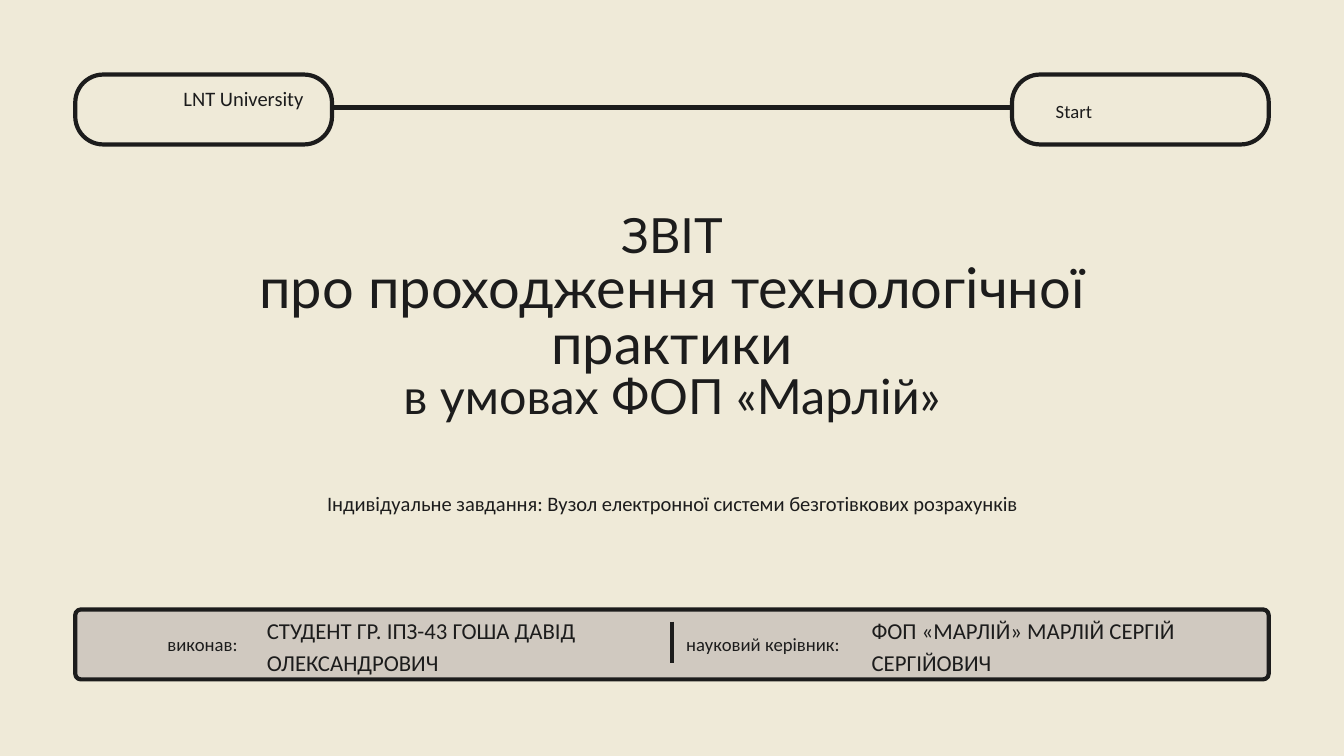
from lxml import etree
from pptx import Presentation
from pptx.dml.color import RGBColor
from pptx.enum.shapes import MSO_CONNECTOR, MSO_SHAPE
from pptx.enum.text import MSO_ANCHOR, MSO_AUTO_SIZE, PP_ALIGN
from pptx.oxml.ns import qn
from pptx.util import Pt

ROUNDED = MSO_SHAPE.ROUNDED_RECTANGLE
STRAIGHT = MSO_CONNECTOR.STRAIGHT
LEFT, CENTER = PP_ALIGN.LEFT, PP_ALIGN.CENTER
TOP, NO_FIT = MSO_ANCHOR.TOP, MSO_AUTO_SIZE.NONE
PX = 9144
WIDTH, HEIGHT = 2000, 1125
LINE = 4.5
COLORS = {"paper": "EFEAD8", "bar": "D0C9C0", "ink": "1C1C1C"}

MARGIN, BOX_H = 112, 104
PILL_W, PILL_Y, BAR_Y = 382, 111, 907
RIGHT = WIDTH - MARGIN

BOXES = [
    ((MARGIN, BAR_Y, RIGHT - MARGIN, BOX_H), 8, "bar"),
    ((MARGIN, PILL_Y, PILL_W, BOX_H), 42, "paper"),
    ((RIGHT - PILL_W, PILL_Y, PILL_W, BOX_H), 42, "paper"),
]
LINES = [
    (WIDTH // 2, 925, WIDTH // 2, 986),
    (MARGIN + PILL_W, 160, RIGHT - PILL_W, 160),
]
TITLE_BOX = (381, 320, 1238, 314)
TITLE = [
    ("ЗВІТ", 52, 52),
    ("про проходження технологічної практики", 60, 60),
    ("в умовах ФОП «Марлій»", 52, 52),
]
TEXTS = [
    ((1021, 948, 337, 27), "науковий керівник:", 20, 20, LEFT),
    ((1297, 911, 580, 143), "ФОП «МАРЛІЙ» МАРЛІЙ СЕРГІЙ СЕРГІЙОВИЧ", 24.4, 34.1, LEFT),
    ((249, 948, 200, 27), "виконав:", 20, 20, LEFT),
    ((397, 911, 603, 93), "СТУДЕНТ ГР. ІПЗ-43 ГОША ДАВІД ОЛЕКСАНДРОВИЧ", 24.4, 34.1, LEFT),
    ((273, 134, 189, 62), "LNT University", 22, 22, LEFT),
    ((365, 724, 1271, 85), "Індивідуальне завдання: Вузол електронної системи безготівкових розрахунків",
     22, 30.8, CENTER),
    ((1571, 154, 132, 27), "Start", 20, 20, LEFT),
]


def emu(lengths):
    return [n * PX for n in lengths]


def color(name):
    return RGBColor.from_string(COLORS[name])


def outline(line):
    line.color.rgb = color("ink")
    line.width = Pt(LINE)


def add_box(s, box, radius, fill):
    sp = s.shapes.add_shape(ROUNDED, *emu(box))
    sp.adjustments[0] = round(radius / box[3], 2)
    sp.shadow.inherit = False
    sp.fill.solid()
    sp.fill.fore_color.rgb = color(fill)
    outline(sp.line)


def add_line(s, ends):
    cx = s.shapes.add_connector(STRAIGHT, *emu(ends))
    outline(cx.line)
    etree.SubElement(cx._element.spPr, qn("a:effectLst"))


def write(sp, paragraphs, font, align):
    tf = sp.text_frame
    tf.word_wrap = True
    tf.auto_size = NO_FIT
    tf.vertical_anchor = TOP
    tf.margin_left = tf.margin_right = tf.margin_top = tf.margin_bottom = 0
    tf.text = "\n".join(text for text, _, _ in paragraphs)
    for p, (_, size, spacing) in zip(tf.paragraphs, paragraphs):
        p.alignment = align
        p.line_spacing = Pt(spacing)
        p.space_before = Pt(0)
        p.font.name = font
        p.font.size = Pt(size)
        p.font.color.rgb = color("ink")


def main():
    prs = Presentation()
    prs.slide_width, prs.slide_height = emu((WIDTH, HEIGHT))
    s = prs.slides.add_slide(prs.slide_layouts[5])
    s.background.fill.solid()
    s.background.fill.fore_color.rgb = color("paper")

    title = s.shapes.title
    title.left, title.top, title.width, title.height = emu(TITLE_BOX)
    write(title, TITLE, "Lato", CENTER)

    for box in BOXES:
        add_box(s, *box)
    for ends in LINES:
        add_line(s, ends)
    for box, text, size, spacing, align in TEXTS:
        write(s.shapes.add_textbox(*emu(box)), [(text, size, spacing)], "Calibri", align)

    prs.save("out.pptx")


if __name__ == "__main__":
    main()
